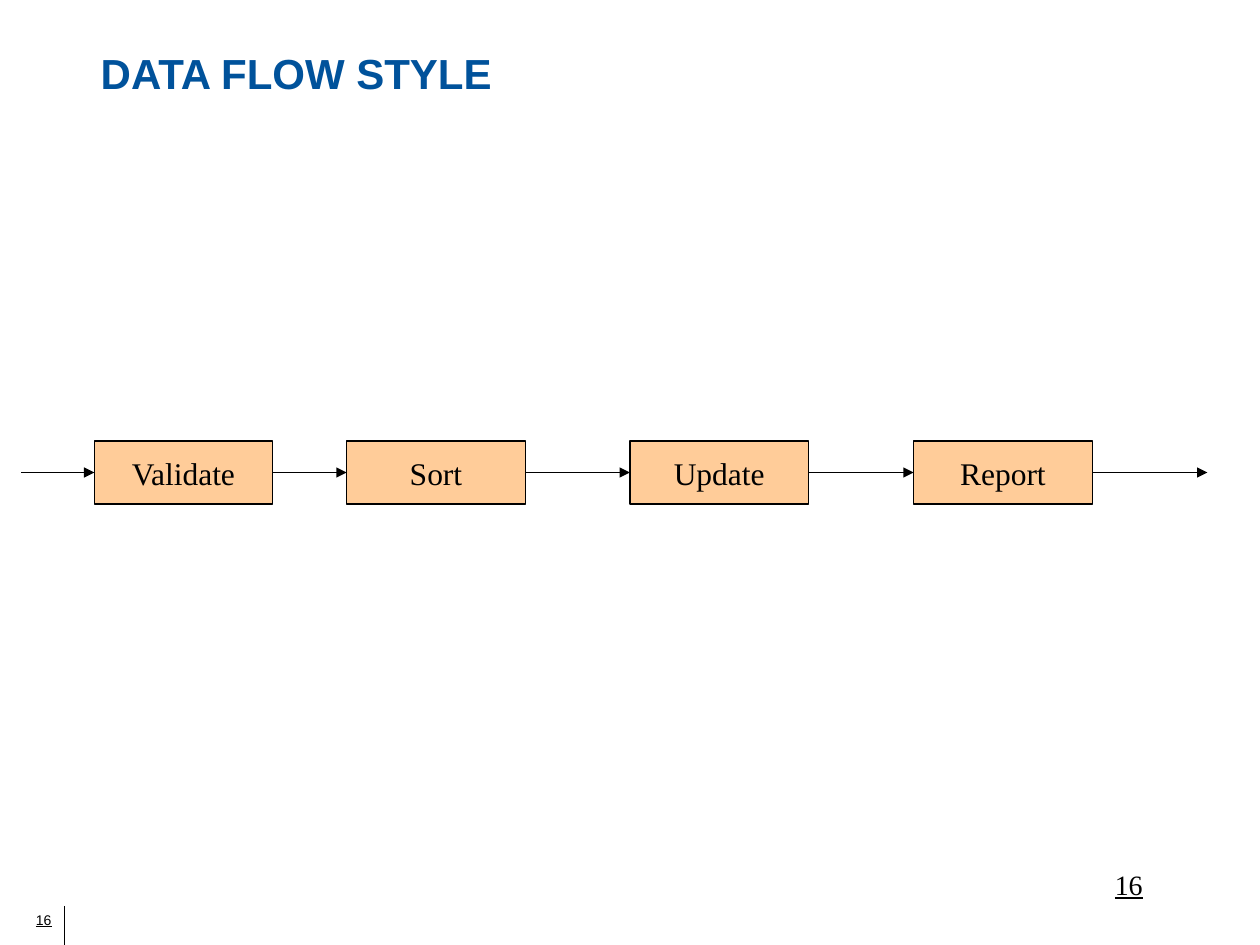
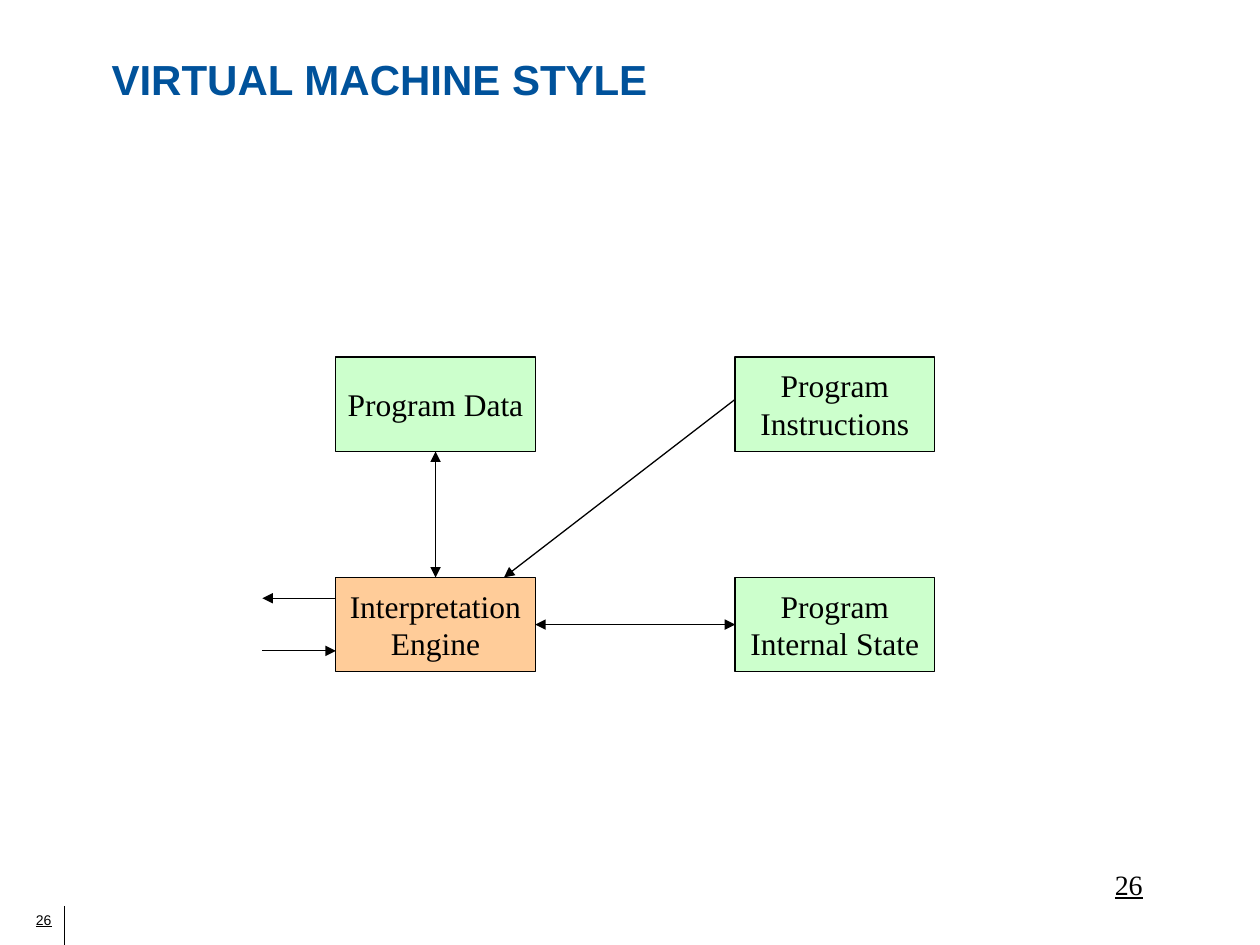
import pptx
import pptx.dml.color
import pptx.enum.shapes
import pptx.enum.text
import pptx.oxml.ns
import pptx.util
import lxml.etree
from pptx.util import Cm

# Shared look
BLACK, TITLE_BLUE = "000000", "00529B"
ORANGE, GREEN = "FFCC99", "CCFFCC"
SANS, SERIF = "Arial", "Times New Roman"
LINE_WIDTH = pptx.util.Pt(0.75)
ALIGN = pptx.enum.text.PP_ALIGN
ANCHOR = pptx.enum.text.MSO_ANCHOR


def colour(hex_code):
    return pptx.dml.color.RGBColor.from_string(hex_code)


def set_margins(frame, left, right):
    frame.margin_left, frame.margin_right = Cm(left), Cm(right)
    frame.margin_top = frame.margin_bottom = Cm(0.13)


def write(frame, lines, font_name, size, align, hex_code=BLACK, bold=False, underline=False):
    """Put each line in its own paragraph."""
    for index, line in enumerate(lines):
        paragraph = frame.add_paragraph() if index else frame.paragraphs[0]
        paragraph.alignment = align
        run = paragraph.add_run()
        run.text = line
        run.font.name = font_name
        run.font.size = pptx.util.Pt(size)
        run.font.color.rgb = colour(hex_code)
        run.font.bold = bold
        run.font.underline = underline


def add_line(slide, start, end, arrow_start=False, arrow_end=False):
    points = [Cm(value) for value in (*start, *end)]
    connector = slide.shapes.add_connector(
        pptx.enum.shapes.MSO_CONNECTOR.STRAIGHT, *points)
    connector.line.color.rgb = colour(BLACK)
    connector.line.width = LINE_WIDTH
    properties = connector._element.spPr
    line_xml = properties.find(pptx.oxml.ns.qn("a:ln"))
    for tag, wanted in (("a:headEnd", arrow_start), ("a:tailEnd", arrow_end)):
        if wanted:
            lxml.etree.SubElement(line_xml, pptx.oxml.ns.qn(tag), type="triangle")
    lxml.etree.SubElement(properties, pptx.oxml.ns.qn("a:effectLst"))


def add_arrow(slide, start, end, both=False):
    add_line(slide, start, end, arrow_start=both, arrow_end=True)


def add_box(slide, left, top, width, height, fill, *lines):
    box = slide.shapes.add_shape(
        pptx.enum.shapes.MSO_SHAPE.RECTANGLE, Cm(left), Cm(top), Cm(width), Cm(height))
    box.shadow.inherit = False
    box.fill.solid()
    box.fill.fore_color.rgb = colour(fill)
    box.line.color.rgb = colour(BLACK)
    box.line.width = LINE_WIDTH
    frame = box.text_frame
    frame.word_wrap = False
    frame.vertical_anchor = ANCHOR.MIDDLE
    set_margins(frame, 0.25, 0.25)
    write(frame, lines, SERIF, 18, ALIGN.CENTER)


def add_number(slide, number, left, top, width, height, right_margin, font_name, size, align):
    text_box = slide.shapes.add_textbox(Cm(left), Cm(top), Cm(width), Cm(height))
    frame = text_box.text_frame
    frame.word_wrap = True
    set_margins(frame, 0.25, right_margin)
    write(frame, [number], font_name, size, align, underline=True)


def add_slide(presentation, title_text, number, left, top, height):
    """Start a slide with its title, corner rule and page numbers."""
    slide = presentation.slides.add_slide(presentation.slide_layouts[5])
    title = slide.shapes.title
    title.left, title.top, title.width, title.height = (
        Cm(left), Cm(top), Cm(21.59), Cm(height))
    frame = title.text_frame
    frame.auto_size = pptx.enum.text.MSO_AUTO_SIZE.NONE
    frame.word_wrap = True
    frame.vertical_anchor = ANCHOR.MIDDLE
    set_margins(frame, 0.13, 0.13)
    write(frame, [title_text], SANS, 24, ALIGN.LEFT, TITLE_BLUE, bold=True)

    add_line(slide, (1.3, 18.26), (1.3, 19.05))
    add_number(slide, number, 0.13, 18.24, 0.91, 0.58, 0, SANS, 8, ALIGN.RIGHT)
    add_number(slide, number, 20.11, 17.35, 5.29, 1.27, 0.25, SERIF, 16, ALIGN.CENTER)
    return slide


def build_data_flow(presentation):
    slide = add_slide(presentation, "DATA FLOW STYLE", "16", 1.9, 0.84, 1.27)
    top, width, height = 8.89, 3.6, 1.27
    middle = top + height / 2
    stages = {"Validate": 1.9, "Sort": 6.99, "Update": 12.7, "Report": 18.42}

    # Each arrow runs from the end of the previous stage to the next one
    flow_left = 0.43
    for stage, left in stages.items():
        add_box(slide, left, top, width, height, ORANGE, stage)
        add_arrow(slide, (flow_left, middle), (left, middle))
        flow_left = left + width
    add_arrow(slide, (flow_left, middle), (24.34, middle))


def build_virtual_machine(presentation):
    slide = add_slide(presentation, "VIRTUAL MACHINE STYLE", "26", 2.12, 1.06, 1.06)
    left, right = 6.77, 14.82
    upper, lower = 7.2, 11.64
    width, height = 4.02, 1.9

    # Two by two grid of parts
    add_box(slide, left, upper, width, height, GREEN, "Program Data")
    add_box(slide, right, upper, width, height, GREEN, "Program", "Instructions")
    add_box(slide, left, lower, width, height, ORANGE, "Interpretation", "Engine")
    add_box(slide, right, lower, width, height, GREEN, "Program", "Internal State")

    # Links between the engine and the other parts
    centre_x, centre_y = left + width / 2, lower + height / 2
    add_arrow(slide, (centre_x, upper + height), (centre_x, lower), both=True)
    add_arrow(slide, (left + width, centre_y), (right, centre_y), both=True)
    add_arrow(slide, (right, 8.05), (10.16, lower))

    # Engine output and input
    outside, output_y, input_y = 5.29, 12.06, 13.12
    add_arrow(slide, (left, output_y), (outside, output_y))
    add_arrow(slide, (outside, input_y), (left, input_y))


def main():
    presentation = pptx.Presentation()
    presentation.slide_width, presentation.slide_height = Cm(25.4), Cm(19.05)
    build_data_flow(presentation)
    build_virtual_machine(presentation)
    presentation.save("out.pptx")


if __name__ == "__main__":
    main()
